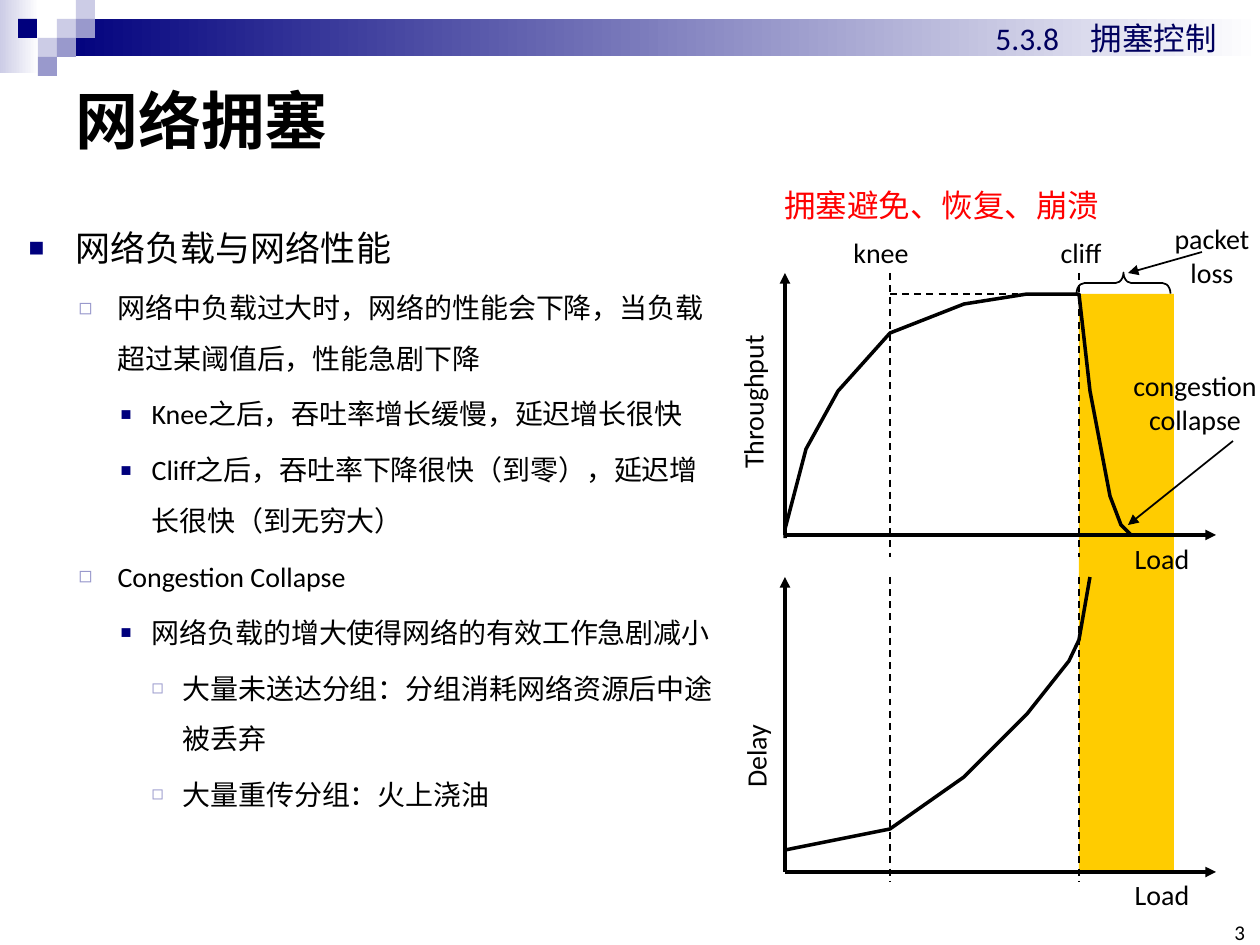
from lxml import etree
from pptx import Presentation
from pptx.dml.color import RGBColor
from pptx.enum.dml import MSO_LINE
from pptx.enum.shapes import MSO_CONNECTOR, MSO_SHAPE
from pptx.enum.text import MSO_ANCHOR, MSO_AUTO_SIZE, PP_ALIGN
from pptx.oxml.ns import qn
from pptx.util import Pt

LEFT, CENTER, RIGHT = PP_ALIGN.LEFT, PP_ALIGN.CENTER, PP_ALIGN.RIGHT
TOP, MIDDLE, BOTTOM = MSO_ANCHOR.TOP, MSO_ANCHOR.MIDDLE, MSO_ANCHOR.BOTTOM
RECT, BRACE = MSO_SHAPE.RECTANGLE, MSO_SHAPE.RIGHT_BRACE
DASH = MSO_LINE.DASH

PX = 914400 / 126
FONT = "Calibri"
COLORS = {"navy": "00007D", "violet": "9999CC", "lilac": "CCCCE6", "white": "FFFFFF",
          "black": "000000", "amber": "FFCC00", "red": "FF0000", "section": "00005E"}

# Content
TITLE = "网络拥塞"
BODY = [  # level, text
    (0, "网络负载与网络性能"),
    (1, "网络中负载过大时，网络的性能会下降，当负载超过某阈值后，性能急剧下降"),
    (2, "Knee之后，吞吐率增长缓慢，延迟增长很快"),
    (2, "Cliff之后，吞吐率下降很快（到零），延迟增长很快（到无穷大）"),
    (1, "Congestion Collapse"),
    (2, "网络负载的增大使得网络的有效工作急剧减小"),
    (3, "大量未送达分组：分组消耗网络资源后中途被丢弃"),
    (3, "大量重传分组：火上浇油"),
]
LEVELS = [  # indent px, hanging px, bullet, bullet colour, bullet %, text size
    (47, 47, "■", "navy", 75, 20),
    (89, 39, "◻", "violet", 80, 16),
    (123, 31, "■", "navy", 65, 16),
    (154, 31, "◻", "violet", 70, 16),
]
TILE = 19
TILES = [  # x, y, colour
    (57, 19, "lilac"), (76, 0, "lilac"), (76, 19, "violet"), (38, 38, "lilac"),
    (18, 19, "navy"), (57, 38, "violet"), (38, 57, "violet"),
]

# Chart geometry
AXIS_X, AXIS_END, KNEE, CLIFF = 785, 1216, 890, 1079
PEAK = 294
PLOTS = [  # axis top, axis base, guide top, guide bottom, curve
    (273, 535, 273, 557,
     [(785, 538), (785, 529), (806, 449), (838, 391), (KNEE, 333), (964, 304),
      (1027, PEAK), (CLIFF, PEAK), (1090, 391), (1110, 496), (1121, 525), (1131, 535)]),
    (577, 872, 577, 882,
     [(785, 850), (KNEE, 829), (964, 777), (1027, 714), (1069, 661), (CLIFF, 640),
      (1090, 577)]),
]
LABELS = [  # text, centre x, centre y, rotation
    ("knee", 881, 253, 0), ("cliff", 1081, 253, 0),
    ("packet\nloss", 1212, 256, 0), ("congestion\ncollapse", 1195, 403, 0),
    ("Throughput", 753, 402, 270), ("Delay", 756, 756, 270),
    ("Load", 1162, 559, 0), ("Load", 1162, 895, 0),
]
POINTERS = [(1202, 252, 1128, 273), (1233, 441, 1128, 525)]


def px(*values):
    return [round(v * PX) for v in values]


def rgb(name):
    return RGBColor.from_string(COLORS[name])


def write(tf, text, size=16, color="black", bold=False, align=LEFT, anchor=TOP,
          wrap=True, inset=None):
    tf.auto_size = MSO_AUTO_SIZE.NONE
    tf.word_wrap, tf.vertical_anchor = wrap, anchor
    if inset is not None:
        tf.margin_left = tf.margin_right = tf.margin_top = tf.margin_bottom = inset
    for i, line in enumerate(text.split("\n")):
        p = tf.paragraphs[0] if i == 0 else tf.add_paragraph()
        p.alignment = align
        r = p.add_run()
        r.text = line
        r.font.name, r.font.size, r.font.bold = FONT, Pt(size), bold
        r.font.color.rgb = rgb(color)


def add_text(text, x, y, w, h, rotation=0, **fmt):
    sp = slide.shapes.add_textbox(*px(x, y, w, h))
    sp.rotation = rotation
    write(sp.text_frame, text, **fmt)


def add_rect(x, y, w, h, color, fade_to=None):
    sp = slide.shapes.add_shape(RECT, *px(x, y, w, h))
    sp.shadow.inherit = False
    sp.line.fill.background()
    if fade_to:
        sp.fill.gradient()
        sp.fill.gradient_angle = 0
        for stop, name, pos in zip(sp.fill.gradient_stops, (color, fade_to), (0, 1)):
            stop.color.rgb, stop.position = rgb(name), pos
    else:
        sp.fill.solid()
        sp.fill.fore_color.rgb = rgb(color)


def outline(sp, width):
    sp.line.color.rgb, sp.line.width = rgb("black"), Pt(width)


def add_line(x1, y1, x2, y2, width=1, dash=None, arrow=False):
    sp = slide.shapes.add_connector(MSO_CONNECTOR.STRAIGHT, *px(x1, y1, x2, y2))
    outline(sp, width)
    if dash:
        sp.line.dash_style = dash
    if arrow:
        etree.SubElement(sp.line._get_or_add_ln(), qn("a:tailEnd"), type="triangle")
    etree.SubElement(sp._element.spPr, qn("a:effectLst"))


def add_curve(points):
    builder = slide.shapes.build_freeform(*points[0], scale=PX)
    builder.add_line_segments(points[1:], close=False)
    sp = builder.convert_to_shape()
    sp.shadow.inherit = False
    sp.fill.background()
    outline(sp, 2)


def set_bullet(p, indent, hanging, char, color, percent):
    pPr = p._p.get_or_add_pPr()
    pPr.set("marL", str(px(indent)[0]))
    pPr.set("indent", str(-px(hanging)[0]))
    clr = etree.SubElement(pPr, qn("a:buClr"))
    etree.SubElement(clr, qn("a:srgbClr"), val=COLORS[color])
    etree.SubElement(pPr, qn("a:buSzPct"), val=str(percent * 1000))
    etree.SubElement(pPr, qn("a:buChar"), char=char)


prs = Presentation()
prs.slide_width, prs.slide_height = px(1260, 945)
slide = prs.slides.add_slide(prs.slide_layouts[1])  # title and body

# Header decoration
add_rect(0, 0, 39, 73, "lilac", fade_to="white")
add_rect(57, 19, 1203, 37, "navy", fade_to="white")
for x, y, color in TILES:
    add_rect(x, y, TILE, TILE, color)

# Title and body
title, body = slide.placeholders
title.left, title.top, title.width, title.height = px(63, 63, 1134, 112)
write(title.text_frame, TITLE, size=36, bold=True, anchor=MIDDLE)
body.left, body.top, body.width, body.height = px(16, 199, 716, 725)
write(body.text_frame, "\n".join(text for _, text in BODY))
for p, (level, _) in zip(body.text_frame.paragraphs, BODY):
    *bullet, size = LEVELS[level]
    p.level, p.line_spacing, p.space_before = level, 1.5, Pt(size * 0.2)
    p.runs[0].font.size = Pt(size)
    set_bullet(p, *bullet)

# Throughput and delay plots
add_rect(CLIFF, PEAK, 95, 577, "amber")
for top, base, guide_top, guide_bottom, curve in PLOTS:
    add_line(AXIS_X, base, AXIS_X, top, width=2, arrow=True)
    add_line(AXIS_X, base, AXIS_END, base, width=2, arrow=True)
    add_curve(curve)
    for x in (KNEE, CLIFF):
        add_line(x, guide_top, x, guide_bottom, dash=DASH)
add_line(KNEE, PEAK, CLIFF, PEAK, dash=DASH)

# Packet loss brace
brace = slide.shapes.add_shape(BRACE, *px(1113, 236, 21, 94))
brace.rotation = 270
brace.adjustments[0] = 0.375
brace.shadow.inherit = False
brace.fill.background()
outline(brace, 1)

# Labels and pointers
for text, cx, cy, rotation in LABELS:
    w, h = 150, 47 + 34 * text.count("\n")
    add_text(text, cx - w / 2, cy - h / 2, w, h, rotation, align=CENTER, wrap=False)
for ends in POINTERS:
    add_line(*ends, arrow=True)

# Section name, plot heading and page number
add_text("5.3.8　拥塞控制", 983, 13, 262, 50, size=18, color="section")
add_text("拥塞避免、恢复、崩溃", 772, 180, 392, 50, size=18, color="red")
add_text("3", 1216, 924, 29, 21, size=12, align=RIGHT, anchor=BOTTOM, inset=0)

prs.save("out.pptx")
